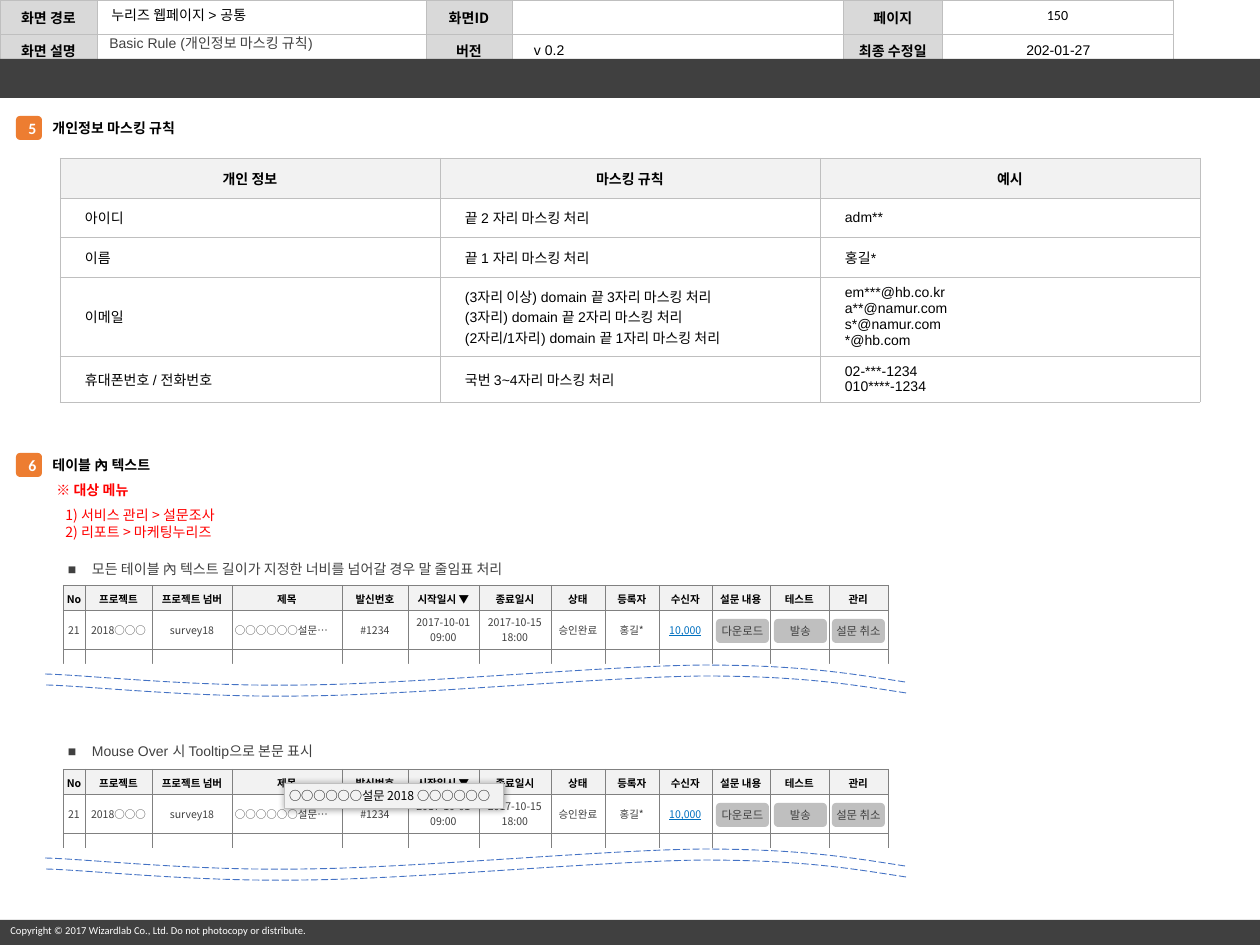
import pptx
import pptx.util
import pptx.dml.color
import pptx.enum.dml
import pptx.enum.shapes
import pptx.enum.text
import pptx.oxml.ns
import lxml.etree

HUE = {
    "black": "000000", "white": "FFFFFF", "dark": "404040", "mid": "808080",
    "rule": "BFBFBF", "label": "D9D9D9", "pale": "F2F2F2",
    "orange": "ED7D31", "blue": "4472C4", "link": "0070C0", "red": "FF0000",
}
KIND = pptx.enum.shapes.MSO_SHAPE
ALIGN = pptx.enum.text.PP_ALIGN
MID = pptx.enum.text.MSO_ANCHOR.MIDDLE
NOTO = "Noto Sans CJK KR"

RULES = [
    ["개인 정보", "마스킹 규칙", "예시"],
    ["아이디", "끝 2 자리 마스킹 처리", "adm**"],
    ["이름", "끝 1 자리 마스킹 처리", "홍길*"],
    ["이메일",
     "(3자리 이상) domain 끝 3자리 마스킹 처리\n(3자리) domain 끝 2자리 마스킹 처리\n"
     "(2자리/1자리) domain 끝 1자리 마스킹 처리",
     "em***@hb.co.kr\na**@namur.com\ns*@namur.com\n*@hb.com"],
    ["휴대폰번호 / 전화번호", "국번 3~4자리 마스킹 처리", "02-***-1234\n010****-1234"],
]
HEADS = ["No", "프로젝트", "프로젝트 넘버", "제목", "발신번호", "시작일시 ▼", "종료일시",
         "상태", "등록자", "수신자", "설문 내용", "테스트", "관리"]
ENTRY = ["21", "2018○○○", "survey18", "○○○○○○설문…", "#1234", "2017-10-01\n09:00",
         "2017-10-15\n18:00", "승인완료", "홍길*", "10,000", "", "", ""]
WIDTHS = [22, 67, 80, 110, 66, 71, 72, 54, 54, 53, 58, 59, 59]
WAVE = [(905, 97), (853, 89), (803, 80), (702, 80), (602, 81),
        (413, 99), (304, 100), (194, 102), (87, 90), (45, 89)]


def px(num):
    """Turn pixels into EMU."""
    return round(num * 914400 / 126)


def rgb(name):
    """Look up a colour."""
    return pptx.dml.color.RGBColor.from_string(HUE[name])


def node(parent, tag, **attrs):
    """Append a DrawingML element."""
    item = lxml.etree.SubElement(parent, pptx.oxml.ns.qn("a:" + tag))
    for key, val in attrs.items():
        item.set(key, str(val))
    return item


def style(para, size, face, hue, bold=False, align=ALIGN.LEFT):
    """Set the font and alignment of a paragraph."""
    para.alignment = align
    font = para.font
    font.size, font.name, font.bold = pptx.util.Pt(size), face, bold
    font.color.rgb = rgb(hue)
    node(font._element, "ea", typeface=NOTO)


def write(frame, text, size, face, hue, bold=False, align=ALIGN.LEFT):
    """Write one paragraph for each line of text."""
    for num, line in enumerate(text.split("\n")):
        para = frame.add_paragraph() if num else frame.paragraphs[0]
        para.text = line
        style(para, size, face, hue, bold, align)
        if not line:
            para._p.get_or_add_endParaRPr().set("sz", str(size * 100))


def inset(frame, size):
    """Give a frame equal margins."""
    frame.margin_left = frame.margin_right = px(size)
    frame.margin_top = frame.margin_bottom = px(size)


def label(slide, box, text, size, face, hue, bold=False, align=ALIGN.LEFT, wrap=False):
    """Add a text box that grows with its text."""
    frame = slide.shapes.add_textbox(*map(px, box)).text_frame
    frame.word_wrap = wrap
    frame.auto_size = pptx.enum.text.MSO_AUTO_SIZE.SHAPE_TO_FIT_TEXT
    write(frame, text, size, face, hue, bold, align)
    return frame


def block(slide, box, hue, kind=KIND.RECTANGLE):
    """Add a filled shape with no outline."""
    shape = slide.shapes.add_shape(kind, *map(px, box))
    shape.shadow.inherit = False
    shape.fill.solid()
    shape.fill.fore_color.rgb = rgb(hue)
    shape.line.fill.background()
    shape.text_frame.vertical_anchor = MID
    return shape


def grid(slide, left, top, cols, rows, hue, width):
    """Add a plain ruled table."""
    box = map(px, (left, top, sum(cols), sum(rows)))
    table = slide.shapes.add_table(len(rows), len(cols), *box).table
    table.first_row = table.horz_banding = False
    for col, size in zip(table.columns, cols):
        col.width = px(size)
    for row, size in zip(table.rows, rows):
        row.height = px(size)
    for cell in table.iter_cells():
        props = cell._tc.get_or_add_tcPr()
        for side in ("lnL", "lnR", "lnT", "lnB"):
            line = node(props, side, w=round(width * 12700))
            node(node(line, "solidFill"), "srgbClr", val=HUE[hue])
    return table


def put(cell, text, size, face, hue, bold, align, fill, side, edge=6):
    """Fill in a table cell."""
    cell.vertical_anchor = MID
    cell.margin_left = cell.margin_right = px(side)
    cell.margin_top = cell.margin_bottom = px(edge)
    if fill:
        cell.fill.solid()
        cell.fill.fore_color.rgb = rgb(fill)
    else:
        cell.fill.background()
    write(cell.text_frame, text, size, face, hue, bold, align)


def header(slide):
    """Draw the page header and footer."""
    table = grid(slide, 0, 0, [97, 329, 86, 331, 100, 231], [34, 25], "rule", 0.5)
    texts = [["화면 경로", "", "화면ID", "", "페이지", ""],
             ["화면 설명", "", "버전", "v 0.2", "최종 수정일", "202-01-27"]]
    for y, row in enumerate(texts):
        for x, text in enumerate(row):
            head = x % 2 == 0
            put(table.cell(y, x), text, 8, NOTO if text == "화면ID" else "Arial", "black", head,
                ALIGN.LEFT if x == 3 else ALIGN.CENTER, "label" if head else None, 9)
    table.cell(1, 3).margin_left = px(22)
    block(slide, (0, 59, 1260, 39), "dark")
    block(slide, (0, 920, 1260, 25), "dark")
    label(slide, (-2, 918, 372, 25),
          "Copyright © 2017 Wizardlab Co., Ltd. Do not photocopy or distribute.",
          6, "Calibri", "white")
    label(slide, (955, 0, 205, 30), "150", 8, "Calibri", "black", False, ALIGN.CENTER, True)
    label(slide, (99, 0, 326, 30), "누리즈 웹페이지 > 공통", 8, "Arial", "black", wrap=True)
    title = label(slide, (97, 29, 328, 29), "Basic Rule (개인정보 마스킹 규칙)",
                  8, "Arial", "dark", wrap=True)
    title.auto_size = pptx.enum.text.MSO_AUTO_SIZE.NONE
    title.vertical_anchor = MID
    title.paragraphs[0].line_spacing = 0.9


def section(slide, top, num, text, width, face):
    """Draw a numbered section heading."""
    label(slide, (40, top, width, 30), text, 8, face, "black", True)
    badge = block(slide, (16, top + 3, 26, 24), "orange", KIND.ROUNDED_RECTANGLE)
    write(badge.text_frame, num, 9, "Calibri", "white", True, ALIGN.CENTER)


def rules(slide):
    """Draw the masking rules table."""
    table = grid(slide, 60, 158, [380] * 3, [40, 39, 40, 79, 46], "rule", 0.25)
    for y, row in enumerate(RULES):
        for x, text in enumerate(row):
            put(table.cell(y, x), text, 8, "Arial", "black", y == 0,
                ALIGN.LEFT if y else ALIGN.CENTER, None if y else "pale", 25 if y else 13)


def wave(slide, dx, dy):
    """Draw a dashed tear line of three cubic curves."""
    dots = [(px(x + dx), px(y + dy)) for x, y in WAVE]
    build = slide.shapes.build_freeform(*dots[0])
    build.add_line_segments(dots[1:], close=False)
    shape = build.convert_to_shape()
    track = next(shape._element.iter(pptx.oxml.ns.qn("a:path")))
    pairs = [(pt.get("x"), pt.get("y")) for pt in track.iter(pptx.oxml.ns.qn("a:pt"))]
    for line in list(track)[1:]:
        track.remove(line)
    for num in range(1, len(pairs), 3):
        bend = node(track, "cubicBezTo")
        for x, y in pairs[num:num + 3]:
            node(bend, "pt", x=x, y=y)
    shape.shadow.inherit = False
    shape.fill.solid()
    shape.fill.fore_color.rgb = rgb("white")
    shape.line.color.rgb = rgb("blue")
    shape.line.width = pptx.util.Pt(0.5)
    shape.line.dash_style = pptx.enum.dml.MSO_LINE.LONG_DASH


def survey(slide, top):
    """Draw a survey list cut off by a tear line."""
    table = grid(slide, 63, top, WIDTHS, [25, 39, 39], "mid", 0.25)
    for y, row in enumerate([HEADS, ENTRY, [""] * len(HEADS)]):
        for x, text in enumerate(row):
            align = ALIGN.LEFT if (y, x) == (1, 3) else ALIGN.CENTER
            tight = y == 1 and 4 <= x <= 6
            put(table.cell(y, x), text, 6, NOTO, "dark" if y else "black", y == 0, align,
                "white" if y else "pale", 3 if y and x > 2 else 0, 0 if tight else 6)
    font = table.cell(1, 9).text_frame.paragraphs[0].font
    font.color.rgb, font.underline = rgb("link"), True
    for num, text in enumerate(["다운로드", "발송", "설문 취소"]):
        box = (716 + 58 * num, top + 34, 53, 24)
        frame = block(slide, box, "rule", KIND.ROUNDED_RECTANGLE).text_frame
        frame.word_wrap = False
        inset(frame, 5)
        write(frame, text, 6.5, "Calibri", "dark", False, ALIGN.CENTER)
    block(slide, (44, top + 79, 864, 31), "white")
    wave(slide, 0, top)
    wave(slide, 1, top + 11)


def point(slide, top, width, text, face):
    """Write a line with a square bullet."""
    frame = label(slide, (63, top, width, 26), text, 8, face, "dark")
    inset(frame, 5)
    props = frame.paragraphs[0]._p.get_or_add_pPr()
    props.set("marL", str(px(24)))
    props.set("indent", str(px(-24)))
    props.insert(0, node(props, "buFont", typeface="Arial"))
    props.insert(1, node(props, "buChar", char="■"))


def hint(slide):
    """Draw the tooltip."""
    shape = block(slide, (284, 783, 219, 25), "pale")
    shape.line.color.rgb = rgb("rule")
    shape.line.width = pptx.util.Pt(0.25)
    glow = node(shape._element.spPr.find(pptx.oxml.ns.qn("a:effectLst")), "outerShdw",
                blurRad=50800, dist=12700, dir=2700000, algn="tl", rotWithShape=0)
    node(node(glow, "srgbClr", val=HUE["black"]), "alpha", val=40000)
    shape.text_frame.word_wrap = False
    inset(shape.text_frame, 5)
    write(shape.text_frame, "○○○○○○설문 2018 ○○○○○○", 7, NOTO, "black")


def menus(slide):
    """List the menus concerned."""
    frame = label(slide, (44, 475, 212, 72),
                  "※ 대상 메뉴\n1) 서비스 관리 > 설문조사\n2) 리포트 > 마케팅누리즈", 8, NOTO, "red")
    first, *items = frame.paragraphs
    first.font.bold = True
    for para in items:
        para._p.get_or_add_pPr().set("marL", str(px(9)))
    items[0].line_spacing = 1.5


def main():
    """Build the slide."""
    deck = pptx.Presentation()
    deck.slide_width, deck.slide_height = px(1260), px(945)
    slide = deck.slides.add_slide(deck.slide_layouts[6])
    header(slide)
    section(slide, 113, "5", "개인정보 마스킹 규칙", 159, "Calibri")
    rules(slide)
    survey(slide, 585)
    point(slide, 556, 489, "모든 테이블 內 텍스트 길이가 지정한 너비를 넘어갈 경우 말 줄임표 처리", "Calibri")
    section(slide, 450, "6", "테이블 內 텍스트", 135, NOTO)
    survey(slide, 769)
    point(slide, 738, 277, "Mouse Over 시 Tooltip으로 본문 표시", "Arial")
    hint(slide)
    menus(slide)
    deck.save("out.pptx")


if __name__ == "__main__":
    main()
